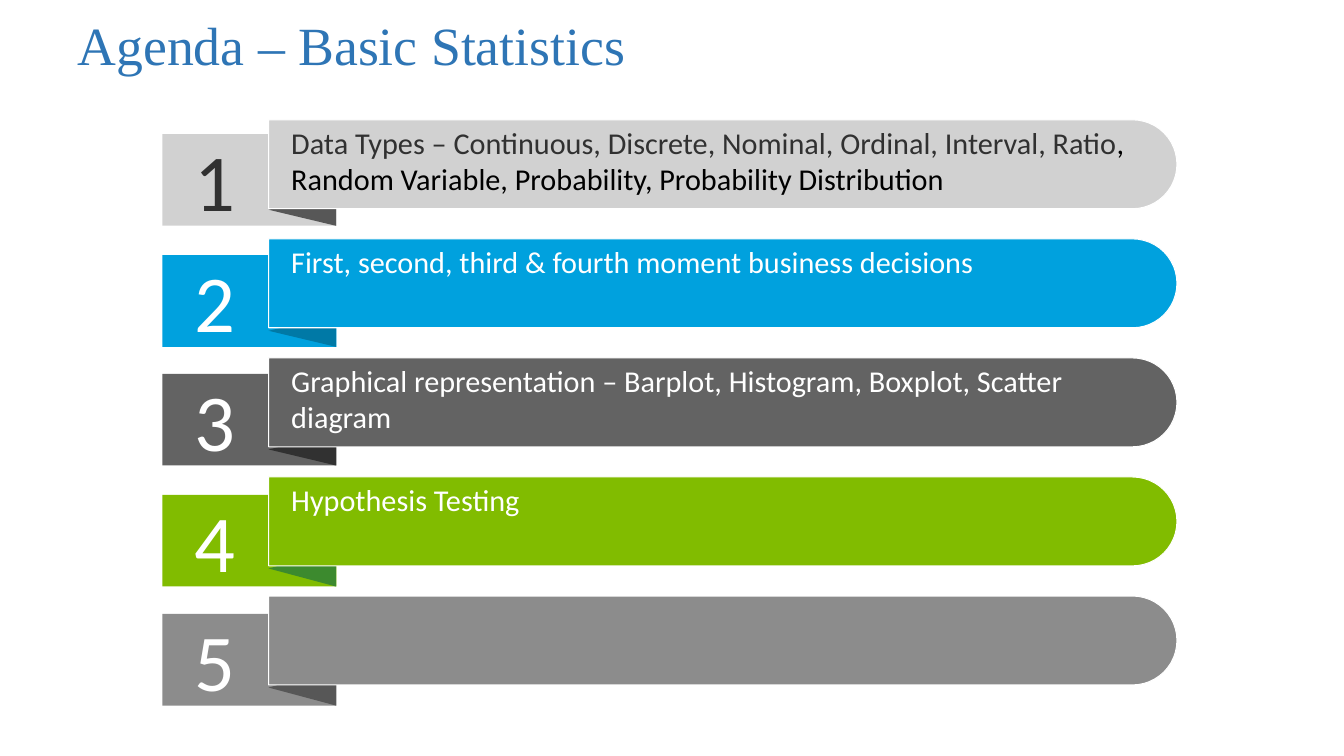
from dataclasses import dataclass

import pptx
import pptx.dml.color
import pptx.enum.shapes
import pptx.enum.text
import pptx.util

Cm = pptx.util.Cm
Pt = pptx.util.Pt
RGBColor = pptx.dml.color.RGBColor
MSO_SHAPE = pptx.enum.shapes.MSO_SHAPE
MSO_ANCHOR = pptx.enum.text.MSO_ANCHOR
MSO_AUTO_SIZE = pptx.enum.text.MSO_AUTO_SIZE
PP_ALIGN = pptx.enum.text.PP_ALIGN

WHITE = RGBColor(0xFF, 0xFF, 0xFF)
BLACK = RGBColor(0x00, 0x00, 0x00)
CHARCOAL = RGBColor(0x31, 0x31, 0x31)
DARK_GRAY = RGBColor(0x57, 0x57, 0x57)
SLATE = RGBColor(0x63, 0x63, 0x63)
MID_GRAY = RGBColor(0x8C, 0x8C, 0x8C)
LIGHT_GRAY = RGBColor(0xD1, 0xD1, 0xD1)
BLUE = RGBColor(0x00, 0xA1, 0xDE)
DARK_BLUE = RGBColor(0x00, 0x79, 0xA6)
GREEN = RGBColor(0x81, 0xBC, 0x00)
DARK_GREEN = RGBColor(0x3C, 0x8A, 0x2E)
TITLE_BLUE = RGBColor(0x2E, 0x75, 0xB5)

BAND_TOP, BAND_PITCH = 3.02, 3.0
BAND_LEFT, BAND_WIDTH, BAND_HEIGHT = 6.77, 22.89, 2.24
TAB_LEFT, TAB_WIDTH, TAB_HEIGHT = 4.09, 4.39, 2.31
FOLD_WIDTH = 1.7


@dataclass
class Run:
    text: str
    color: RGBColor


@dataclass
class AgendaItem:
    tab_top: float
    fill: RGBColor
    fold_fill: RGBColor
    fold_height: float
    number_color: RGBColor
    runs: list[Run]
    text_height: float = 0.91


ITEMS = [
    AgendaItem(3.38, LIGHT_GRAY, DARK_GRAY, 0.81, CHARCOAL, [
        Run("Data Types – Continuous, Discrete, Nominal, Ordinal, Interval, Ratio", CHARCOAL),
        Run(", Random Variable, Probability, Probability Distribution", BLACK)], 1.85),
    AgendaItem(6.43, BLUE, DARK_BLUE, 0.81, WHITE, [
        Run("First, second, third & fourth moment business decisions", WHITE)]),
    AgendaItem(9.42, SLATE, CHARCOAL, 0.81, WHITE, [
        Run("Graphical representation – Barplot, Histogram, Boxplot, Scatter diagram", WHITE)], 1.85),
    AgendaItem(12.47, GREEN, DARK_GREEN, 0.91, WHITE, [
        Run("Hypothesis Testing", WHITE)]),
    AgendaItem(15.47, MID_GRAY, DARK_GRAY, 0.91, WHITE, []),
]


def set_attrs(obj, values: dict) -> None:
    for name, value in values.items():
        setattr(obj, name, value)


def add_runs(p, runs: list[Run], size: float, font: str) -> None:
    for run in runs:
        r = p.add_run()
        r.text = run.text
        set_attrs(r.font, {"size": Pt(size), "name": font})
        r.font.color.rgb = run.color


def add_block(slide, kind, left: float, top: float, width: float, height: float,
              fill: RGBColor, rotation: int = 0):
    w, h = (height, width) if rotation in (90, 270) else (width, height)
    sp = slide.shapes.add_shape(kind, Cm(left + (width - w) / 2),
                                Cm(top + (height - h) / 2), Cm(w), Cm(h))
    sp.rotation = rotation
    sp.shadow.inherit = False
    sp.fill.solid()
    sp.fill.fore_color.rgb = fill
    sp.line.fill.background()
    return sp


def add_label(slide, left: float, top: float, width: float, height: float,
              runs: list[Run], size: float, align) -> None:
    tf = slide.shapes.add_textbox(Cm(left), Cm(top), Cm(width), Cm(height)).text_frame
    set_attrs(tf, {"word_wrap": True, "auto_size": MSO_AUTO_SIZE.SHAPE_TO_FIT_TEXT,
                   "margin_left": 0, "margin_top": 0,
                   "margin_right": 0, "margin_bottom": 0})
    p = tf.paragraphs[0]
    p.alignment = align
    add_runs(p, runs, size, "Calibri")


def add_item(slide, index: int, item: AgendaItem) -> None:
    band_top = BAND_TOP + index * BAND_PITCH
    add_block(slide, MSO_SHAPE.RECTANGLE, TAB_LEFT, item.tab_top,
              TAB_WIDTH, TAB_HEIGHT, item.fill)
    fold_top = item.tab_top + TAB_HEIGHT - item.fold_height
    add_block(slide, MSO_SHAPE.ISOSCELES_TRIANGLE, BAND_LEFT, fold_top,
              FOLD_WIDTH, item.fold_height, item.fold_fill, 270)
    band = add_block(slide, MSO_SHAPE.ROUND_2_SAME_RECTANGLE, BAND_LEFT, band_top,
                     BAND_WIDTH, BAND_HEIGHT, item.fill, 90)
    band.adjustments[0] = 0.5
    band.line.color.rgb = WHITE
    band.line.width = Pt(0.75)
    add_label(slide, 4.27, item.tab_top - 0.08, 2.31, 2.46,
              [Run(str(index + 1), item.number_color)], 57.6, PP_ALIGN.CENTER)
    if item.runs:
        add_label(slide, 7.34, band_top + 0.1, 21.18, item.text_height,
                  item.runs, 21.6, PP_ALIGN.LEFT)


def add_title(slide, text: str) -> None:
    title = slide.shapes.title
    set_attrs(title, {"left": Cm(1.7), "top": Cm(0), "width": Cm(27.43), "height": Cm(2.44)})
    tf = title.text_frame
    set_attrs(tf, {"word_wrap": True, "auto_size": MSO_AUTO_SIZE.NONE,
                   "vertical_anchor": MSO_ANCHOR.MIDDLE})
    p = tf.paragraphs[0]
    set_attrs(p, {"alignment": PP_ALIGN.LEFT, "line_spacing": 0.9})
    add_runs(p, [Run(text, TITLE_BLUE)], 38.4, "Times New Roman")


def main() -> None:
    prs = pptx.Presentation()
    set_attrs(prs, {"slide_width": Cm(33.87), "slide_height": Cm(19.05)})
    slide = prs.slides.add_slide(prs.slide_layouts[5])
    add_title(slide, "Agenda – Basic Statistics")
    for index, item in enumerate(ITEMS):
        add_item(slide, index, item)
    prs.save("out.pptx")


if __name__ == "__main__":
    main()
